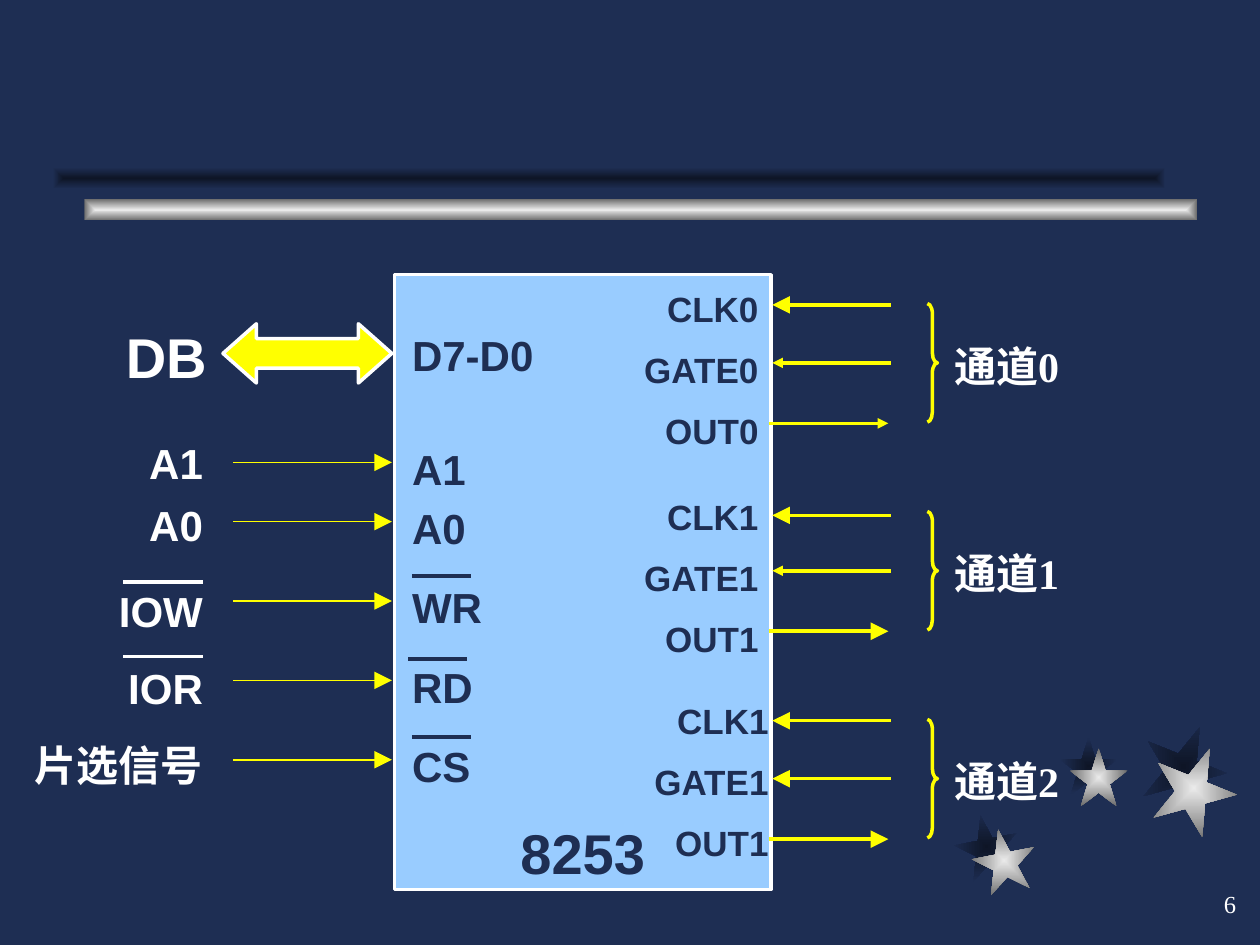
from lxml import etree
from pptx import Presentation
from pptx.dml.color import RGBColor
from pptx.enum.shapes import MSO_CONNECTOR, MSO_SHAPE
from pptx.enum.text import MSO_ANCHOR, PP_ALIGN
from pptx.oxml.ns import qn
from pptx.util import Inches, Pt

NAVY = RGBColor(0x1E, 0x2E, 0x53)
DARK_NAVY = RGBColor(0x0E, 0x15, 0x26)
SILVER = RGBColor(0xEA, 0xEA, 0xEA)
GREY = RGBColor(0x6C, 0x6C, 0x6C)
WHITE = RGBColor(0xFF, 0xFF, 0xFF)
YELLOW = RGBColor(0xFF, 0xFF, 0x00)
SKY = RGBColor(0x99, 0xCC, 0xFF)

STRAIGHT = MSO_CONNECTOR.STRAIGHT
RECTANGLE = MSO_SHAPE.RECTANGLE
STAR = MSO_SHAPE.STAR_5_POINT
DOUBLE_ARROW = MSO_SHAPE.LEFT_RIGHT_ARROW
BRACE = MSO_SHAPE.RIGHT_BRACE
LEFT, CENTER, RIGHT = PP_ALIGN.LEFT, PP_ALIGN.CENTER, PP_ALIGN.RIGHT
TOP, MIDDLE = MSO_ANCHOR.TOP, MSO_ANCHOR.MIDDLE

SHADE = (DARK_NAVY, NAVY)
METAL = (SILVER, GREY)
CHANNEL_PITCH = 1.65


def add_text(slide, box, *lines, size=24, color=NAVY, font="Arial", bold=True,
             align=LEFT, anchor=TOP, margins=(0, 0.05), gap=0):
    """Add a text box with one paragraph per line and a gap in points between them."""
    frame = slide.shapes.add_textbox(*map(Inches, box)).text_frame
    frame.word_wrap = True
    frame.vertical_anchor = anchor
    frame.margin_left = frame.margin_right = Inches(margins[0])
    frame.margin_top = frame.margin_bottom = Inches(margins[1])
    for index, line in enumerate(lines):
        paragraph = frame.add_paragraph() if index else frame.paragraphs[0]
        paragraph.alignment = align
        paragraph.space_before = Pt(gap if index else 0)
        run = paragraph.add_run()
        run.text = line
        run.font.name, run.font.size, run.font.bold = font, Pt(size), bold
        run.font.color.rgb = color


def add_figure(slide, kind, box, fill=None, line=None):
    """Add a preset shape with a plain fill and a 2 pt outline."""
    figure = slide.shapes.add_shape(kind, *map(Inches, box))
    figure.shadow.inherit = False
    if fill is None:
        figure.fill.background()
    else:
        figure.fill.solid()
        figure.fill.fore_color.rgb = fill
    if line is None:
        figure.line.fill.background()
    else:
        figure.line.color.rgb = line
        figure.line.width = Pt(2)
    return figure


def add_gradient_figure(slide, kind, box, colors, rotation=0):
    """Add a shape shaded from its centre to its edges."""
    figure = add_figure(slide, kind, box)
    figure.rotation = rotation
    figure.fill.gradient()
    for stop, color in zip(figure.fill.gradient_stops, colors):
        stop.color.rgb = color
    gradient = figure._element.spPr.find(qn("a:gradFill"))
    gradient.remove(gradient.find(qn("a:lin")))
    shading = etree.Element(qn("a:path"), path="rect")
    etree.SubElement(shading, qn("a:fillToRect"), l="50000", t="50000", r="50000", b="50000")
    gradient.find(qn("a:gsLst")).addnext(shading)


def add_line(slide, start, end, y, color=YELLOW, width=2, head=None):
    """Add a horizontal line, with an arrowhead of the given size at its end."""
    line = slide.shapes.add_connector(
        STRAIGHT, Inches(start), Inches(y), Inches(end), Inches(y))
    line.line.color.rgb = color
    line.line.width = Pt(width)
    if head:
        etree.SubElement(line.line._get_or_add_ln(), qn("a:tailEnd"),
                         type="triangle", w=head, len=head)
    etree.SubElement(line._element.spPr, qn("a:effectLst"))


def add_decoration(slide):
    """Add the stars and the double rule with their shades."""
    stars = [(7.58, 6.47, 0.5, 349, SHADE), (8.41, 5.85, 0.46, 0, SHADE),
             (9.06, 5.75, 0.67, 22, SHADE), (7.72, 6.58, 0.5, 349, METAL),
             (8.49, 5.94, 0.46, 0, METAL), (9.14, 5.92, 0.67, 22, METAL)]
    for x, y, side, rotation, colors in stars:
        add_gradient_figure(slide, STAR, (x, y, side, side), colors, rotation)
    for x, y, colors in [(0.67, 1.58, METAL), (0.42, 1.33, SHADE)]:
        add_gradient_figure(slide, RECTANGLE, (x, y, 8.83, 0.17), colors)


def add_bus_side(slide):
    """Add the data bus and the control signals on the left of the chip."""
    bus = add_figure(slide, DOUBLE_ARROW, (1.77, 2.57, 1.34, 0.47), YELLOW, WHITE)
    bus.adjustments[0], bus.adjustments[1] = 0.5, 0.564
    add_text(slide, (0.9, 2.51, 0.87, 0.64), "DB", size=32, color=WHITE, margins=(0.1, 0.05))
    add_text(slide, (3.27, 2.57, 1.02, 0.5), "D7-D0")

    pins = [("A1", 3.47, 3.67), ("A0", 3.94, 4.14), ("WR", 4.57, 4.77),
            ("RD", 5.2, 5.4), ("CS", 5.83, 6.03)]
    for pin, label_y, arrow_y in pins:
        add_text(slide, (3.27, label_y, 0.71, 0.5), pin)
        add_line(slide, 1.85, 3.11, arrow_y, width=1, head="lg")
    for x, y in [(3.27, 4.57), (3.24, 5.23), (3.27, 5.85)]:
        add_line(slide, x, x + 0.47, y, NAVY)

    signal = dict(color=WHITE, align=RIGHT, margins=(0, 0))
    add_text(slide, (1.14, 3.47, 0.47, 0.88), "A1", "A0", gap=7, **signal)
    add_text(slide, (0.27, 4.65, 1.34, 1.58), "IOW", "IOR", "片选信号", gap=15, **signal)
    for y in (4.62, 5.21):
        add_line(slide, 0.98, 1.61, y, WHITE)


def add_channel(slide, number, suffix, label_x, label_y, clock_y, heads):
    """Add the pins, arrows and brace of one counter channel."""
    top = 2.41 + number * CHANNEL_PITCH
    names = [name + suffix for name in ("CLK", "GATE", "OUT")]
    add_text(slide, (label_x, label_y, 1.02, 1.38), *names, size=20, align=RIGHT, gap=11)
    clock_head, gate_head, out_head = heads
    add_line(slide, 7.07, 6.13, clock_y, head=clock_head)
    add_line(slide, 7.07, 6.13, top + 0.47, head=gate_head)
    add_line(slide, 6.1, 7.05, top + 0.95, head=out_head)
    brace = add_figure(slide, BRACE, (7.36, top, 0.08, 0.94), line=YELLOW)
    brace.adjustments[0] = 1
    add_text(slide, (7.52, top + 0.24, 0.94, 0.5), f"通道{number}", color=WHITE,
             font="Times New Roman", align=CENTER)


def main():
    """Build the slide and save it."""
    deck = Presentation()
    deck.slide_width, deck.slide_height = Inches(10), Inches(7.5)
    slide = deck.slides.add_slide(deck.slide_layouts[6])
    slide.background.fill.solid()
    slide.background.fill.fore_color.rgb = NAVY

    add_decoration(slide)
    add_text(slide, (7.83, 6.92, 2.08, 0.5), "6", size=14, color=WHITE, bold=False,
             font="Times New Roman", align=RIGHT, anchor=MIDDLE, margins=(0.1, 0.05))
    add_figure(slide, RECTANGLE, (3.13, 2.18, 2.99, 4.88), SKY, WHITE)
    add_text(slide, (4.13, 6.45, 1.02, 0.64), "8253", size=32)
    add_bus_side(slide)
    add_channel(slide, 0, "0", 5, 2.23, 2.42, ("lg", "med", "med"))
    add_channel(slide, 1, "1", 5, 3.88, 4.09, ("lg", "med", "lg"))
    add_channel(slide, 2, "1", 5.08, 5.5, 5.72, ("lg", "lg", "lg"))
    deck.save("out.pptx")


if __name__ == "__main__":
    main()
